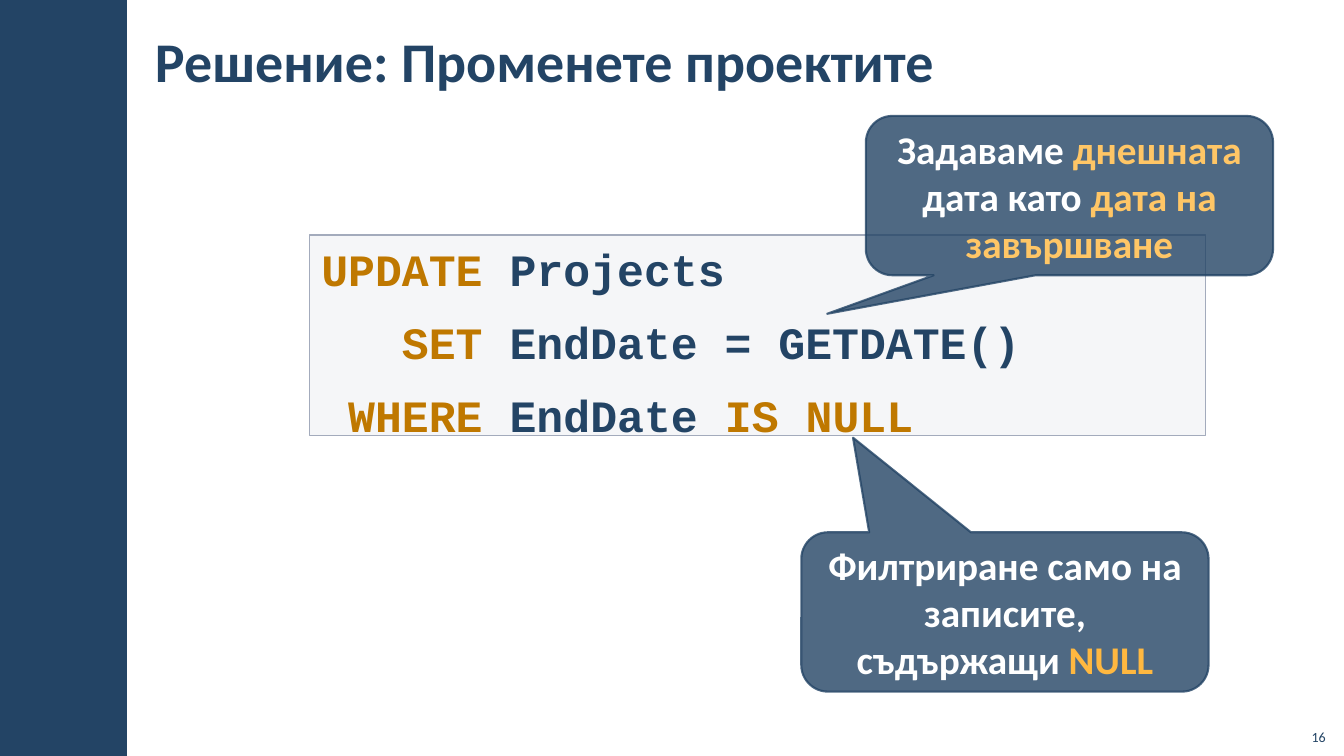
from dataclasses import dataclass

import pptx
import pptx.dml.color
import pptx.enum.shapes
import pptx.enum.text
import pptx.oxml.ns
import pptx.util
from lxml import etree

Pt = pptx.util.Pt
ALIGN = pptx.enum.text.PP_ALIGN
ANCHOR = pptx.enum.text.MSO_ANCHOR
SHAPE = pptx.enum.shapes.MSO_SHAPE


@dataclass(frozen=True)
class Theme:
    navy: str = "234465"
    white: str = "FFFFFF"
    panel: str = "C2C7D2"
    panel_line: str = "A3ABBC"
    keyword: str = "BF7800"
    amber: str = "FFB840"
    pale_amber: str = "FFC666"
    text_font: str = "Calibri"
    code_font: str = "Courier New"
    title_size: float = 40
    code_size: float = 32
    callout_size: float = 28
    number_size: float = 10


T = Theme()


@dataclass(frozen=True)
class Box:
    left: float
    top: float
    width: float
    height: float

    def in_points(self) -> tuple:
        return Pt(self.left), Pt(self.top), Pt(self.width), Pt(self.height)


@dataclass(frozen=True)
class Span:
    text: str
    color: str


@dataclass(frozen=True)
class CodeLine:
    indent: int
    spans: tuple


@dataclass(frozen=True)
class Callout:
    box: Box
    tip: tuple
    spans: tuple


CODE = (
    CodeLine(0, (Span("UPDATE", T.keyword), Span(" Projects", T.navy))),
    CodeLine(3, (Span("SET", T.keyword), Span(" EndDate = GETDATE()", T.navy))),
    CodeLine(1, (Span("WHERE", T.keyword), Span(" EndDate ", T.navy),
                 Span("IS NULL", T.keyword))),
)
CALLOUTS = (
    Callout(Box(572.4, 380.2, 290.9, 113.8), (-0.373, -1.094),
            (Span("Филтриране само на записите, съдържащи ", T.white),
             Span("NULL", T.amber))),
    Callout(Box(618.5, 82.8, 290.9, 113.8), (-0.595, 0.742),
            (Span("Задаваме ", T.white), Span("днешната", T.pale_amber),
             Span(" дата като ", T.white),
             Span("дата на завършване", T.pale_amber))),
)


def rgb(color: str) -> pptx.dml.color.RGBColor:
    return pptx.dml.color.RGBColor.from_string(color)


def add_text(p, text: str, *, size: float, color: str,
             font: str = T.text_font, bold: bool = True) -> None:
    r = p.add_run()
    r.text = text
    r.font.name = font
    r.font.size = Pt(size)
    r.font.bold = bold
    r.font.color.rgb = rgb(color)


def set_frame(tf, anchor, margins: tuple = (7.2, 3.6)) -> None:
    tf.word_wrap = True
    tf.vertical_anchor = anchor
    tf.margin_left = tf.margin_right = Pt(margins[0])
    tf.margin_top = tf.margin_bottom = Pt(margins[1])


def place(sp, box: Box) -> None:
    sp.left, sp.top, sp.width, sp.height = box.in_points()


def paint(fmt, color: str, opacity: int = 100) -> None:
    """Give a fill a solid colour with an opacity in percent."""
    fmt.solid()
    fmt.fore_color.rgb = rgb(color)
    if opacity < 100:
        # The colour node is the only child of the solid fill
        clr = fmt._xPr.find(pptx.oxml.ns.qn("a:solidFill"))[0]
        alpha = etree.SubElement(clr, pptx.oxml.ns.qn("a:alpha"))
        alpha.set("val", str(opacity * 1000))


def add_sidebar(s) -> None:
    sp = s.shapes.add_shape(SHAPE.RECTANGLE, *Box(0, 0, 90.7, 540).in_points())
    sp.shadow.inherit = False
    paint(sp.fill, T.navy)
    sp.line.fill.background()


def add_title(s) -> None:
    sp = s.shapes.title
    place(sp, Box(102.2, 7.9, 721.4, 69.8))
    tf = sp.text_frame
    set_frame(tf, ANCHOR.MIDDLE, (8.5, 2.8))
    tf.auto_size = pptx.enum.text.MSO_AUTO_SIZE.NONE
    p = tf.paragraphs[0]
    p.alignment = ALIGN.LEFT
    add_text(p, "Решение: Променете проектите", size=T.title_size, color=T.navy)


def add_code(s) -> None:
    sp = s.placeholders[1]
    place(sp, Box(221, 167.8, 640.1, 150.5))
    paint(sp.fill, T.panel, 15)
    paint(sp.line.fill, T.panel_line)
    sp.line.width = Pt(1)
    tf = sp.text_frame
    set_frame(tf, ANCHOR.TOP, (8.5, 2.8))
    tf.auto_size = pptx.enum.text.MSO_AUTO_SIZE.SHAPE_TO_FIT_TEXT
    char_width = 0.6 * T.code_size
    for i, line in enumerate(CODE):
        p = tf.add_paragraph() if i else tf.paragraphs[0]
        p.alignment = ALIGN.LEFT
        p.line_spacing = 1.05
        p.space_before = p.space_after = Pt(6)
        pPr = p._p.get_or_add_pPr()
        pPr.set("marL", str(Pt(line.indent * char_width)))
        pPr.set("indent", "0")
        etree.SubElement(pPr, pptx.oxml.ns.qn("a:buNone"))
        for span in line.spans:
            add_text(p, span.text, size=T.code_size, color=span.color,
                     font=T.code_font)


def add_callout(s, callout: Callout) -> None:
    sp = s.shapes.add_shape(SHAPE.ROUNDED_RECTANGULAR_CALLOUT,
                            *callout.box.in_points())
    sp.shadow.inherit = False
    for i, value in enumerate((*callout.tip, 0.167)):
        sp.adjustments[i] = value
    paint(sp.fill, T.navy, 80)
    paint(sp.line.fill, T.navy, 80)
    sp.line.width = Pt(1.5)
    set_frame(sp.text_frame, ANCHOR.MIDDLE)
    p = sp.text_frame.paragraphs[0]
    p.alignment = ALIGN.CENTER
    for span in callout.spans:
        add_text(p, span.text, size=T.callout_size, color=span.color)


def add_page_number(s) -> None:
    sp = s.shapes.add_textbox(*Box(925.2, 512.6, 28.8, 23).in_points())
    set_frame(sp.text_frame, ANCHOR.BOTTOM)
    p = sp.text_frame.paragraphs[0]
    p.alignment = ALIGN.RIGHT
    add_text(p, "16", size=T.number_size, color=T.navy, bold=False)


def main() -> None:
    prs = pptx.Presentation()
    prs.slide_width, prs.slide_height = Pt(960), Pt(540)
    s = prs.slides.add_slide(prs.slide_layouts[1])
    add_sidebar(s)
    add_title(s)
    add_code(s)
    for callout in CALLOUTS:
        add_callout(s, callout)
    add_page_number(s)
    prs.save("out.pptx")


if __name__ == "__main__":
    main()
